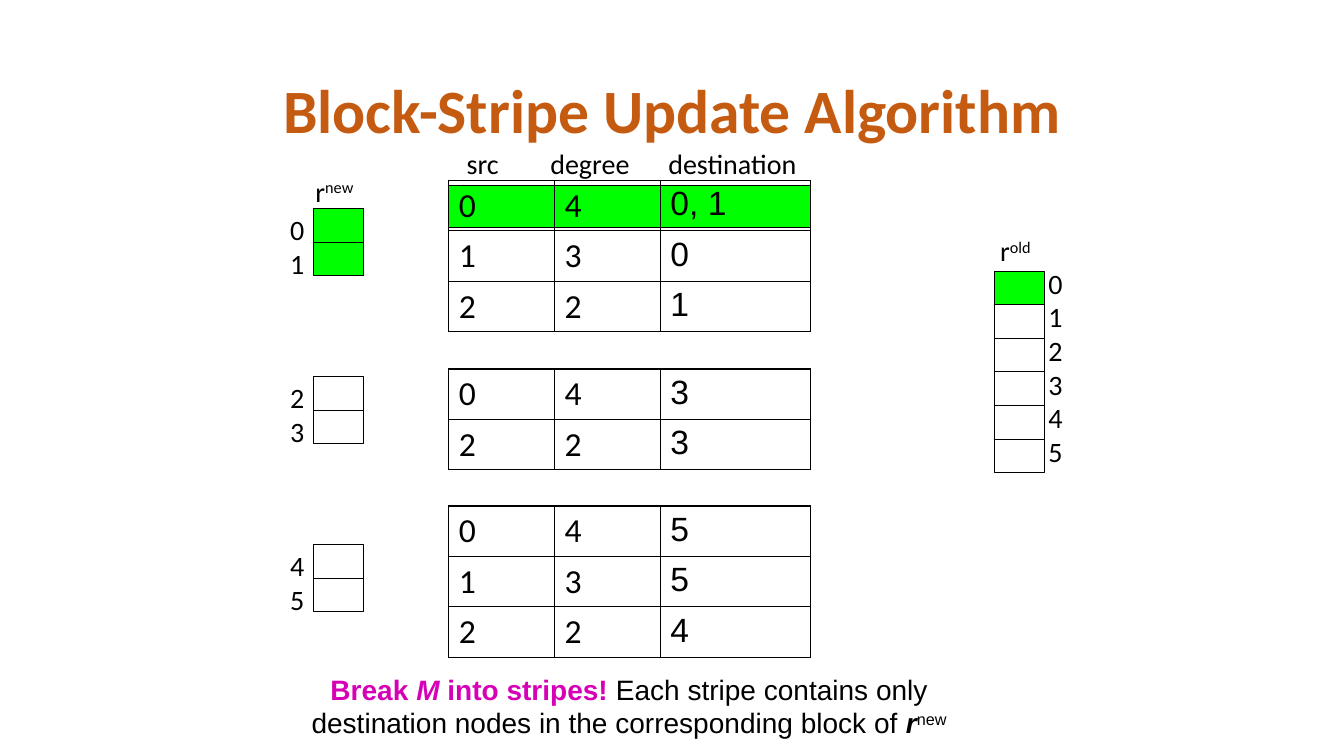
from pptx import Presentation
from pptx.dml.color import RGBColor
from pptx.enum.shapes import MSO_SHAPE as Shape
from pptx.enum.text import MSO_ANCHOR as Anchor, MSO_AUTO_SIZE as Auto, PP_ALIGN as Align
from pptx.oxml import parse_xml
from pptx.oxml.ns import nsdecls
from pptx.util import Inches, Pt

BLACK = RGBColor(0, 0, 0)
GREEN = RGBColor(0x00, 0xFF, 0x00)
ORANGE = RGBColor(0xC5, 0x5A, 0x11)
MAGENTA = RGBColor(0xD6, 0x00, 0xB7)

COL, ROW = 1 / 2, 1 / 3
TABLE_COL, TABLE_COLS, TABLE_ROW = 8.9, (2.1, 2.1, 2.98), 1.5
NEW_COL, NEW_ROW = 6.22, 6.21
OLD_COL, OLD_ROW = 19.72, 8.07

STRIPES = [
    (5.37, [("0", "4", "0, 1"), ("1", "3", "0"), ("2", "2", "1")]),
    (10.98, [("0", "4", "3"), ("2", "2", "3")]),
    (15.06, [("0", "4", "5"), ("1", "3", "5"), ("2", "2", "4")]),
]


def add_text(p, text, size=20, font="Calibri", color=BLACK, bold=False, italic=False, raised=False):
    r = p.add_run()
    r.text = text
    r.font.size, r.font.name = Pt(size), font
    r.font.bold, r.font.italic = bold, italic
    r.font.color.rgb = color
    if raised:
        r._r.get_or_add_rPr().set("baseline", "30000")


class Board:
    def __init__(self, prs):
        self.s = prs.slides.add_slide(prs.slide_layouts[5])
        self.shapes = self.s.shapes

    def area(self, col, row, cols, rows):
        return Inches(col * COL), Inches(row * ROW), Inches(cols * COL), Inches(rows * ROW)

    def title(self, text, *cells):
        sp = self.shapes.title
        sp.left, sp.top, sp.width, sp.height = self.area(*cells)
        tf = sp.text_frame
        tf.auto_size, tf.vertical_anchor = Auto.NONE, Anchor.MIDDLE
        p = tf.paragraphs[0]
        p.alignment, p.line_spacing = Align.CENTER, 0.9
        add_text(p, text, size=44, color=ORANGE, bold=True)

    def box(self, *cells, fill=None):
        sp = self.shapes.add_shape(Shape.RECTANGLE, *self.area(*cells))
        sp.shadow.inherit = False
        sp.line.color.rgb, sp.line.width = BLACK, Pt(0.75)
        if fill is None:
            sp.fill.background()
        else:
            sp.fill.solid()
            sp.fill.fore_color.rgb = fill

    def text(self, runs, *cells, wrap=False, align=Align.LEFT):
        tf = self.shapes.add_textbox(*self.area(*cells)).text_frame
        tf.word_wrap, tf.auto_size = wrap, Auto.SHAPE_TO_FIT_TEXT
        p = tf.paragraphs[0]
        p.alignment = align
        for text, fmt in runs:
            add_text(p, text, **fmt)

    def label(self, text, col, row, cols=0.72, raised=""):
        runs = [(text, {})]
        if raised:
            runs.append((raised, {"raised": True}))
        self.text(runs, col, row, cols, 1.29)

    def table(self, rows, col, row):
        area = self.area(col, row, sum(TABLE_COLS), TABLE_ROW * len(rows))
        t = self.shapes.add_table(len(rows), len(TABLE_COLS), *area).table
        t.first_row = t.horz_banding = False
        for column, cols in zip(t.columns, TABLE_COLS):
            column.width = Inches(cols * COL)
        for i, values in enumerate(rows):
            t.rows[i].height = Inches(TABLE_ROW * ROW)
            for j, value in enumerate(values):
                cell = t.cell(i, j)
                font = "Arial" if j == 2 else "Calibri"
                add_text(cell.text_frame.paragraphs[0], value, size=24, font=font)
                self.borders(cell)
                cell.fill.background()

    def borders(self, cell):
        tcPr = cell._tc.get_or_add_tcPr()
        for side in "LRTB":
            tcPr.append(parse_xml(
                f'<a:ln{side} {nsdecls("a")} w="12700"><a:solidFill>'
                f'<a:srgbClr val="{BLACK}"/></a:solidFill></a:ln{side}>'))


def main():
    prs = Presentation()
    prs.slide_width, prs.slide_height = Inches(13.33), Inches(7.5)
    board = Board(prs)
    board.title("Block-Stripe Update Algorithm", 1.84, 1.2, 23, 4.35)

    board.box(TABLE_COL, 5.52, sum(TABLE_COLS), 1.26, fill=GREEN)
    for i in range(6):
        new_row = NEW_ROW + i // 2 * 5 + i % 2
        old_row = OLD_ROW + i
        board.box(NEW_COL, new_row, 1, 1, fill=GREEN if i < 2 else None)
        board.box(OLD_COL, old_row, 1, 1, fill=GREEN if i == 0 else None)
        board.label(str(i), NEW_COL - 0.66, new_row - 0.03)
        board.label(str(i), OLD_COL + 0.88, old_row - 0.29)
    board.label("r", 6.06, 5.04, 1.24, raised="new")
    board.label("r", 19.64, 6.81, 1.06, raised="old")

    for name, col, cols in (("src", 9.06, 1.14), ("degree", 10.72, 2.14), ("destination", 13.06, 3.1)):
        board.label(name, col, 4.2, cols)
    for row, rows in STRIPES:
        board.table(rows, TABLE_COL, row)

    plain = {"font": "Arial"}
    strong = {"font": "Arial", "color": MAGENTA, "bold": True}
    board.text([
        ("Break ", strong),
        ("M", {**strong, "italic": True}),
        (" into stripes! ", strong),
        ("Each stripe contains only destination nodes in the corresponding block of ", plain),
        ("r", {**plain, "bold": True, "italic": True}),
        ("new", {**plain, "raised": True}),
    ], 5.2, 19.86, 14.56, 2.31, wrap=True, align=Align.CENTER)

    prs.save("out.pptx")


if __name__ == "__main__":
    main()
